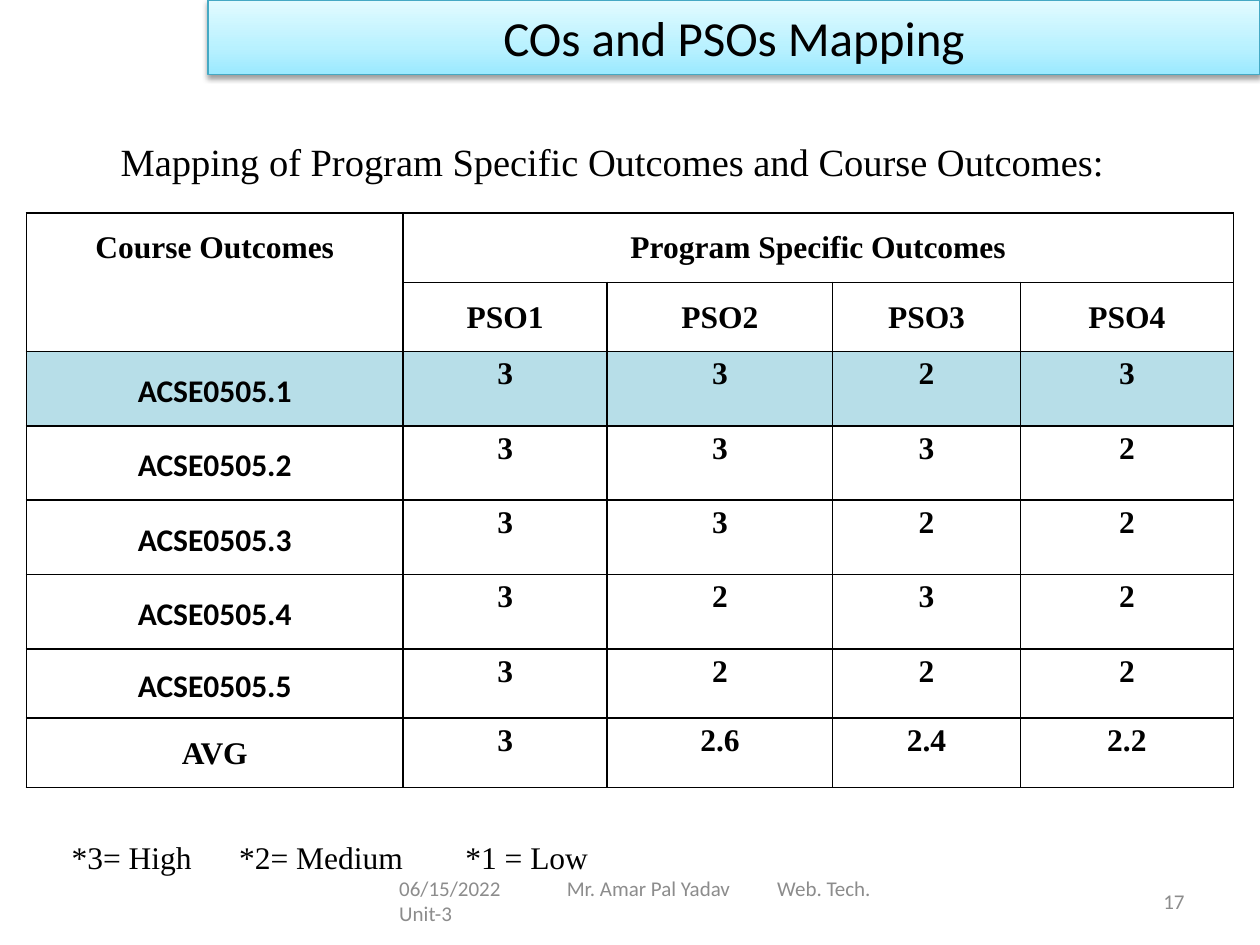
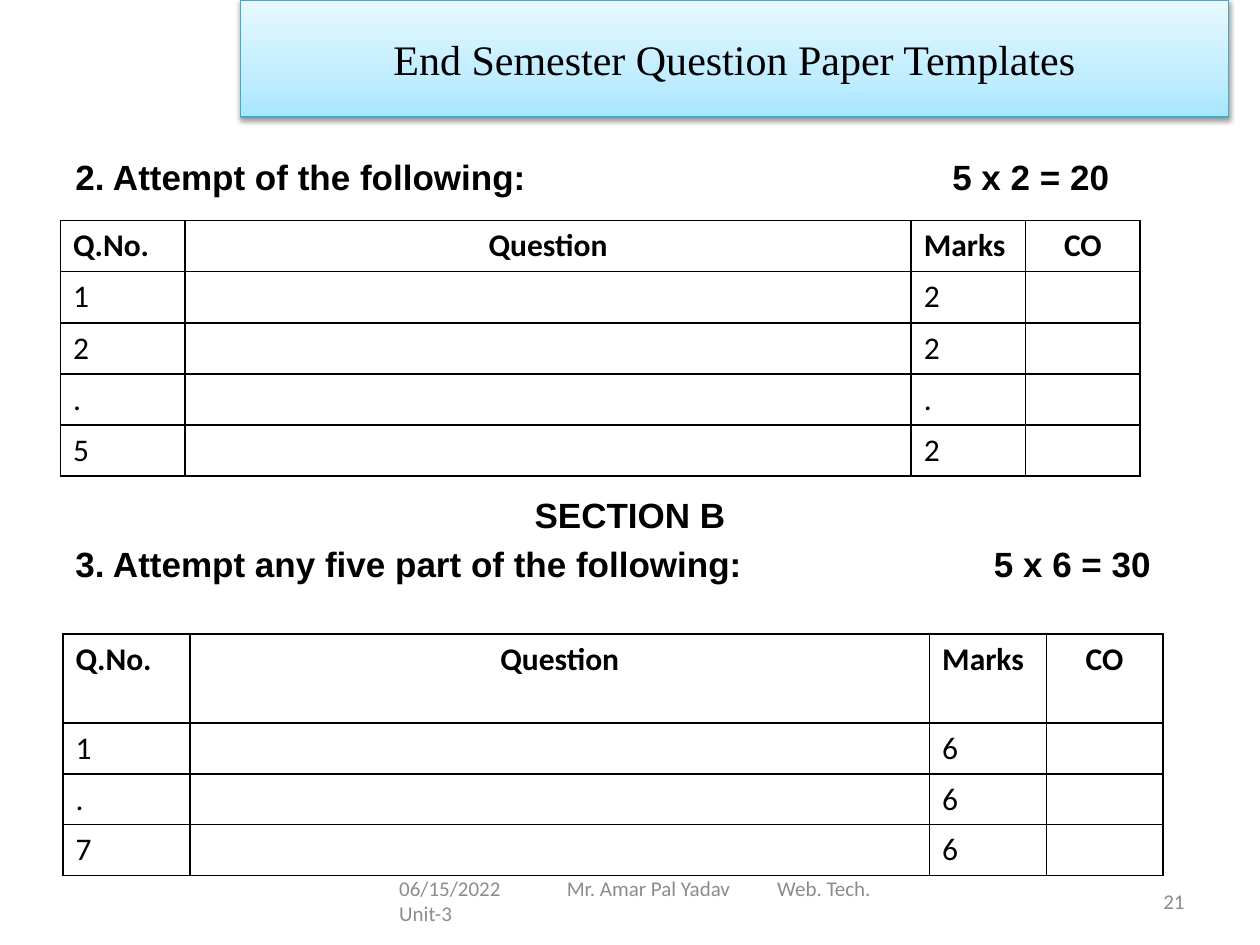
from collections import namedtuple

from lxml.etree import SubElement
from pptx import Presentation
from pptx.dml.color import RGBColor
from pptx.enum.shapes import MSO_SHAPE
from pptx.enum.text import MSO_ANCHOR, PP_ALIGN
from pptx.oxml.ns import qn
from pptx.util import Inches, Pt

COLORS = {
    "text": "000000", "paper": "FFFFFF", "footer": "8C8C8C",
    "highlight": "B7DEE8", "banner_line": "45A9C4",
}
CYAN = ("9BE9FF", "B8F1FF", "E2FBFF")
SKY = ("A7E6FF", "C1EDFF", "E7F8FF")
STOPS = (0, 35, 100)
SERIF, SANS, ARIAL = "Times New Roman", "Calibri", "Arial"
LEFT, CENTER, RIGHT = PP_ALIGN.LEFT, PP_ALIGN.CENTER, PP_ALIGN.RIGHT
TOP, MIDDLE = MSO_ANCHOR.TOP, MSO_ANCHOR.MIDDLE

# The slide is a grid of 100 columns by 75 rows.
Box = namedtuple("Box", "x y w h")
COLS, ROWS = 100, 75
WIDTH, HEIGHT = Inches(10), Inches(7.5)

OUTCOMES = [
    ("ACSE0505.1", "3", "3", "2", "3"),
    ("ACSE0505.2", "3", "3", "3", "2"),
    ("ACSE0505.3", "3", "3", "2", "2"),
    ("ACSE0505.4", "3", "2", "3", "2"),
    ("ACSE0505.5", "3", "2", "2", "2"),
    ("AVG", "3", "2.6", "2.4", "2.2"),
]


def across(columns):
    return round(WIDTH * columns / COLS)


def down(rows):
    return round(HEIGHT * rows / ROWS)


def place(box):
    return across(box.x), down(box.y), across(box.w), down(box.h)


def rgb(name):
    return RGBColor.from_string(COLORS[name])


def child(parent, tag, **attrs):
    return SubElement(parent, qn(tag), {k: str(v) for k, v in attrs.items()})


def write(tf, text, size=18, font=SERIF, color="text", bold=False, align=LEFT,
          spacing=None, after=None, tabs=()):
    """Fill the first paragraph; tabs are stops in columns from the text's left edge."""
    p = tf.paragraphs[0]
    p.alignment = align
    if spacing:
        p.line_spacing = spacing
    if after:
        p.space_after = Pt(after)
    if tabs:
        stops = child(p._p.get_or_add_pPr(), "a:tabLst")
        for stop in tabs:
            child(stops, "a:tab", pos=across(stop), algn="l")
    r = p.add_run()
    r.text = text
    r.font.size, r.font.name, r.font.bold = Pt(size), font, bold
    r.font.color.rgb = rgb(color)


def text_box(slide, box, text, anchor=MIDDLE, **style):
    tf = slide.shapes.add_textbox(*place(box)).text_frame
    tf.word_wrap = True
    tf.vertical_anchor = anchor
    write(tf, text, **style)


def banner(slide, box, text, shades, **style):
    """Title band with a vertical gradient and a soft shadow."""
    sp = slide.shapes.add_shape(MSO_SHAPE.RECTANGLE, *place(box))
    sp.fill.gradient()
    sp.fill.gradient_angle = 90
    props = sp._element.spPr
    stops = props.find(".//" + qn("a:gsLst"))
    stops.clear()
    for pos, shade in zip(STOPS, shades):
        child(child(stops, "a:gs", pos=pos * 1000), "a:srgbClr", val=shade)
    sp.line.color.rgb = rgb("banner_line")
    sp.line.width = Pt(0.75)
    sp.shadow.inherit = False
    shadow = child(props.find(qn("a:effectLst")), "a:outerShdw", blurRad=Pt(3.1),
                   dist=Pt(1.6), dir=5400000, rotWithShape=0)
    child(child(shadow, "a:srgbClr", val=COLORS["text"]), "a:alpha", val=38000)
    sp.text_frame.word_wrap = True
    sp.text_frame.vertical_anchor = MIDDLE
    write(sp.text_frame, text, align=CENTER, **style)


def footer(slide, box, number):
    text_box(slide, Box(box.x, box.y, 0.75 * box.w, box.h),
             "06/15/2022\tMr. Amar Pal Yadav\tWeb. Tech.\tUnit-3",
             size=12, font=SANS, color="footer", tabs=(13.3, 30, 42.3))
    text_box(slide, Box(box.x + 0.75 * box.w, box.y, 0.25 * box.w, box.h), str(number),
             size=12, font=SANS, color="footer", align=RIGHT)


def ruled_table(slide, box, cols, rows):
    """Plain white table with black rules; cols and rows are parts of the box."""
    table = slide.shapes.add_table(len(rows), len(cols), *place(box)).table
    table.first_row = table.horz_banding = False
    for column, part in zip(table.columns, cols):
        column.width = across(box.w * part / sum(cols))
    for row, part in zip(table.rows, rows):
        row.height = down(box.h * part / sum(rows))
    for cell in table.iter_cells():
        props = cell._tc.get_or_add_tcPr()
        for side in "LRTB":
            line = child(props, f"a:ln{side}", w=Pt(1))
            child(child(line, "a:solidFill"), "a:srgbClr", val=COLORS["text"])
        cell.fill.solid()
        cell.fill.fore_color.rgb = rgb("paper")
    return table


def outcome_cell(cell, text, pad=0.0, anchor=TOP, **style):
    cell.margin_left = cell.margin_right = across(0.7)
    cell.margin_top = cell.margin_bottom = down(pad)
    cell.vertical_anchor = anchor
    write(cell.text_frame, text, bold=True, align=CENTER, spacing=1.15, **style)


def outcome_table(slide, box):
    table = ruled_table(slide, box, (2.99, 1.62, 1.79, 1.49, 1.69),
                        (0.55, 0.55, 0.59, 0.59, 0.59, 0.59, 0.55, 0.55))
    table.cell(0, 0).merge(table.cell(1, 0))
    table.cell(0, 1).merge(table.cell(0, 4))
    outcome_cell(table.cell(0, 0), "Course Outcomes", pad=1)
    outcome_cell(table.cell(0, 1), "Program Specific Outcomes", pad=1)
    for c in range(1, 5):
        outcome_cell(table.cell(1, c), f"PSO{c}", pad=1)
    for i, (name, *scores) in enumerate(OUTCOMES, 2):
        if name == "AVG":
            outcome_cell(table.cell(i, 0), name, pad=1)
        else:
            outcome_cell(table.cell(i, 0), name, anchor=MIDDLE, font=SANS, after=10)
        for c, score in enumerate(scores, 1):
            outcome_cell(table.cell(i, c), score)
    for c in range(5):
        table.cell(2, c).fill.fore_color.rgb = rgb("highlight")


def question_table(slide, box, marks, head=1.0):
    """Question grid; marks pairs each number with its marks, head is the header's height in rows."""
    table = ruled_table(slide, box, (0.99, 5.77, 0.91, 0.91), [head] + [1] * len(marks))
    for c, text in enumerate(("Q.No.", "Question", "Marks", "CO")):
        write(table.cell(0, c).text_frame, text, font=SANS, bold=True,
              align=CENTER if c % 2 else LEFT)
    for i, (number, mark) in enumerate(marks, 1):
        write(table.cell(i, 0).text_frame, number, font=SANS)
        write(table.cell(i, 2).text_frame, mark, font=SANS)


def heading(slide, box, text, **style):
    text_box(slide, box, text, size=20, font=ARIAL, bold=True, **style)


def mapping_slide(slide, box):
    banner(slide, Box(box.x + 16.5, box.y, box.w - 16.5, 5.9), "COs and PSOs Mapping",
           CYAN, size=28, font=SANS)
    text_box(slide, Box(box.x + 8.6, box.y + 10.5, box.w - 8.6, 5),
             "Mapping of Program Specific Outcomes and Course Outcomes:", anchor=TOP, size=22)
    outcome_table(slide, Box(box.x + 2.1, box.y + 16.9, 95.8, 45.6))
    text_box(slide, Box(box.x + 4.7, box.y + 66, 54, 4),
             "*3= High\t*2= Medium\t*1 = Low", tabs=(13.3, 31.25))


def question_paper_slide(slide, box):
    banner(slide, Box(box.x + 19.1, box.y, 78.4, 9.3),
           "End Semester Question Paper Templates", SKY, size=24)
    left, width = box.x + 5, box.w - 10
    heading(slide, Box(left, box.y + 12, width, 4),
            "2. Attempt of the following:\t5 x 2 = 20", tabs=(69.6,))
    question_table(slide, Box(box.x + 4.8, box.y + 17.5, 85.7, 20.3),
                   [("1", "2"), ("2", "2"), (".", "."), ("5", "2")])
    heading(slide, Box(left, box.y + 38.8, width, 4), "SECTION B", align=CENTER)
    heading(slide, Box(left, box.y + 42.7, width, 4),
            "3. Attempt any five part of the following:\t5 x 6 = 30", tabs=(72.9,))
    question_table(slide, Box(left, box.y + 50.3, 87.3, 19.2),
                   [("1", "6"), (".", "6"), ("7", "6")], head=1.75)


def main():
    prs = Presentation()
    prs.slide_width, prs.slide_height = WIDTH, HEIGHT
    for build, number in ((mapping_slide, 17), (question_paper_slide, 21)):
        slide = prs.slides.add_slide(prs.slide_layouts[6])
        build(slide, Box(0, 0, COLS, ROWS))
        footer(slide, Box(30.7, 69.5, 64.3, 4), number)
    prs.save("out.pptx")


if __name__ == "__main__":
    main()
